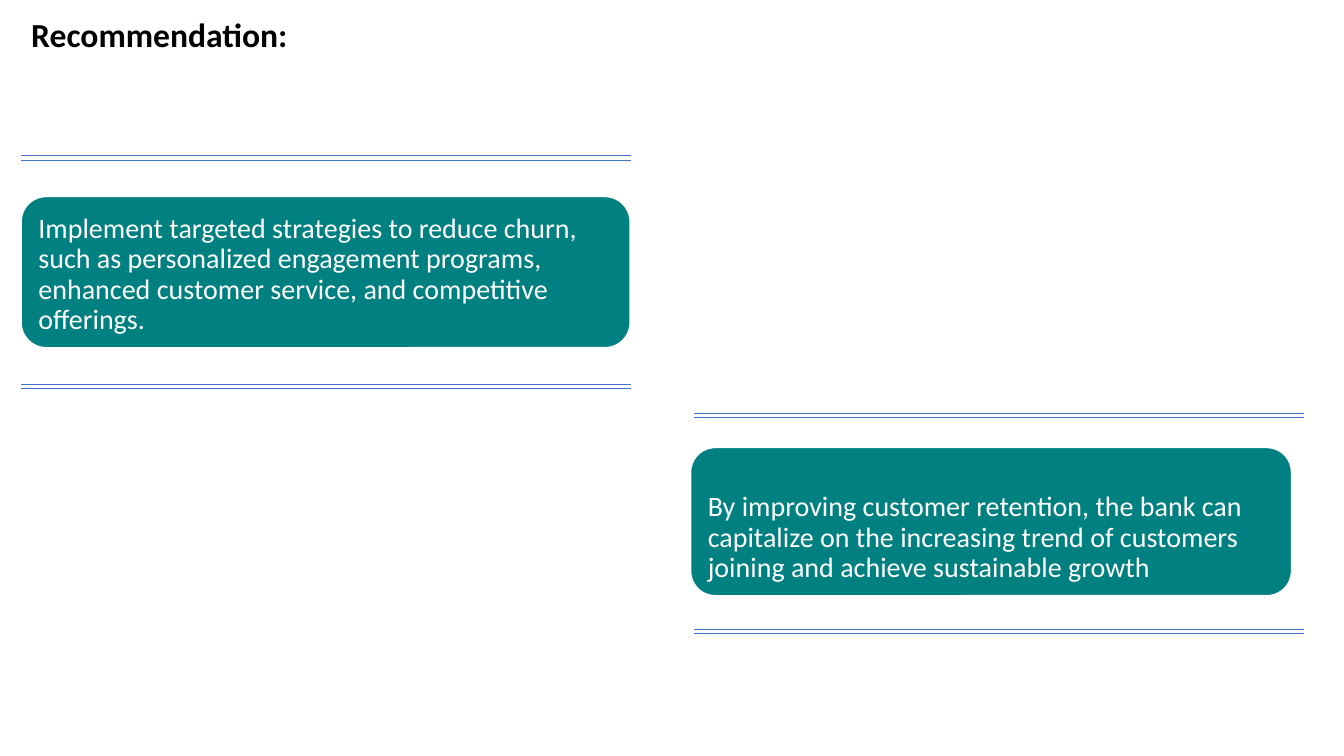
from lxml.etree import SubElement
from pptx import Presentation
from pptx.dml.color import RGBColor
from pptx.enum.shapes import MSO_CONNECTOR, MSO_SHAPE
from pptx.enum.text import MSO_ANCHOR, PP_ALIGN
from pptx.oxml.ns import qn
from pptx.util import Inches, Pt

COLORS = {"black": "000000", "white": "FFFFFF", "teal": "008080", "rule": "4472C4"}
FONT = "Calibri"
RULE_W = 6.05

# Each recommendation: card box, left edge of its rules, heights of the rules
RECOMMENDATIONS = [
    ("Implement targeted strategies to reduce churn, such as personalized "
     "engagement programs, enhanced customer service, and competitive offerings.",
     (0.21, 1.95, 6.04, 1.5), 0.21, (1.54, 1.59, 3.81, 3.85)),
    ("By improving customer retention, the bank can capitalize on the increasing "
     "trend of customers joining and achieve sustainable growth",
     (6.85, 4.44, 5.96, 1.47), 6.88, (4.1, 4.14, 6.24, 6.28)),
]


def rgb(name):
    return RGBColor.from_string(COLORS[name])


def write(tf, text, size, color, bold=False):
    tf.word_wrap = True
    p = tf.paragraphs[0]
    p.alignment = PP_ALIGN.LEFT
    p.line_spacing = 0.9
    r = p.add_run()
    r.text = text
    r.font.name = FONT
    r.font.size = Pt(size)
    r.font.bold = bold
    r.font.color.rgb = rgb(color)


def set_title(s, text):
    sp = s.shapes.title
    sp.left, sp.top = Inches(0.21), Inches(0.15)
    sp.width, sp.height = Inches(4.32), Inches(0.79)
    tf = sp.text_frame
    tf.vertical_anchor = MSO_ANCHOR.TOP
    tf.margin_top = Inches(0.03)
    write(tf, text, 24, "black", bold=True)


def add_card(s, text, box):
    sp = s.shapes.add_shape(MSO_SHAPE.ROUNDED_RECTANGLE, *map(Inches, box))
    sp.shadow.inherit = False
    sp.fill.solid()
    sp.fill.fore_color.rgb = rgb("teal")
    sp.line.color.rgb = rgb("white")
    sp.line.width = Pt(1)
    tf = sp.text_frame
    tf.vertical_anchor = MSO_ANCHOR.BOTTOM
    # The rounded corners already inset the text by about 0.07
    tf.margin_left = tf.margin_right = Inches(0.1)
    tf.margin_top = tf.margin_bottom = Inches(0.05)
    write(tf, text, 20, "white")


def add_rule(s, left, y):
    line = s.shapes.add_connector(MSO_CONNECTOR.STRAIGHT, Inches(left), Inches(y),
                                  Inches(left + RULE_W), Inches(y))
    line.line.color.rgb = rgb("rule")
    line.line.width = Pt(0.5)
    SubElement(line._element.spPr, qn("a:effectLst"))


def main():
    prs = Presentation()
    prs.slide_width, prs.slide_height = Inches(13.33), Inches(7.5)
    s = prs.slides.add_slide(prs.slide_layouts[5])

    # Heading
    set_title(s, "Recommendation:")

    # Cards, each framed by a double rule above and below
    for text, box, rule_left, rule_ys in RECOMMENDATIONS:
        add_card(s, text, box)
        for y in rule_ys:
            add_rule(s, rule_left, y)

    prs.save("out.pptx")


if __name__ == "__main__":
    main()
